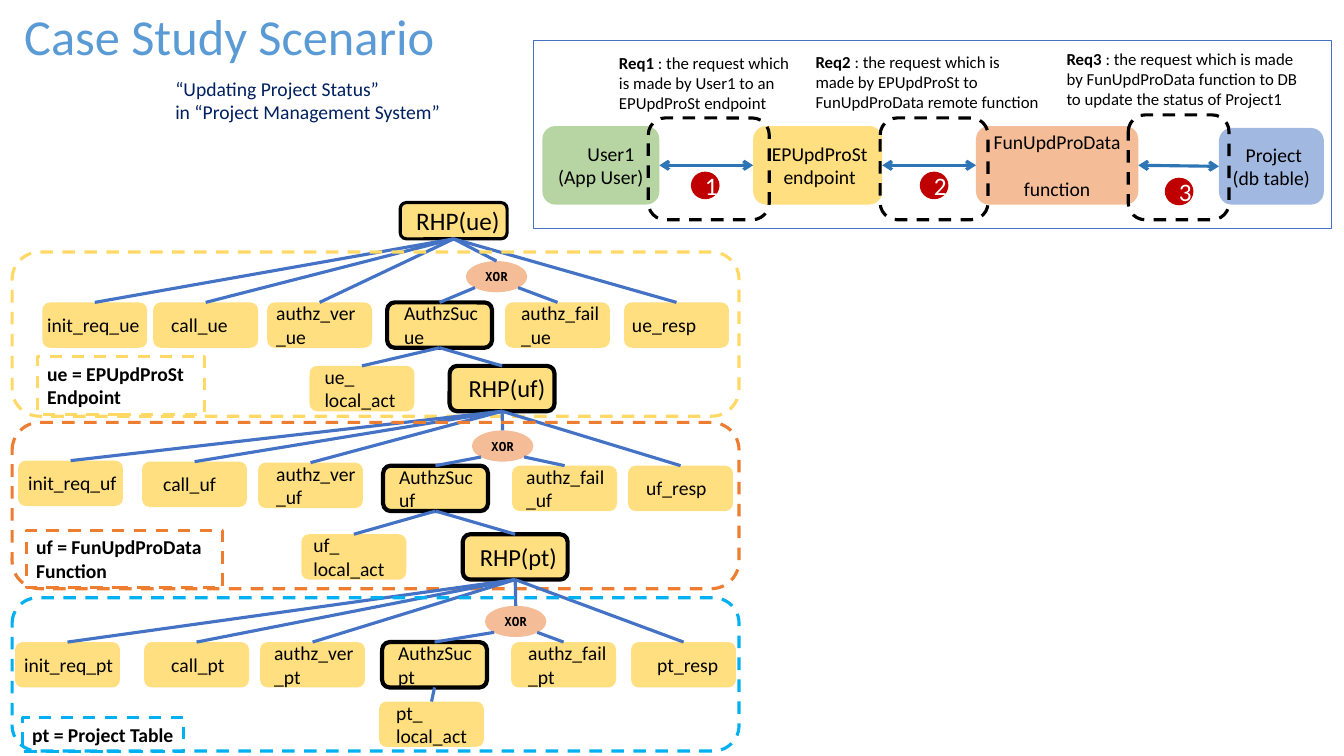
from lxml.etree import SubElement
from pptx import Presentation
from pptx.dml.color import RGBColor
from pptx.enum.dml import MSO_LINE_DASH_STYLE as Dash
from pptx.enum.shapes import MSO_CONNECTOR as Connector, MSO_SHAPE as Shape
from pptx.enum.text import MSO_ANCHOR as Anchor, MSO_AUTO_SIZE as AutoSize, PP_ALIGN as Align
from pptx.oxml.ns import qn
from pptx.util import Inches, Pt

COLORS = {
    "black": "000000", "white": "FFFFFF", "title": "5B9BD5", "navy": "002060",
    "gold": "FFC000", "orange": "ED7D31", "green": "70AD47", "blue": "4472C4",
    "arrow": "2E75B6", "badge": "C00000", "pale_gold": "FFD966", "cyan": "00B0F0",
}
NODE_WIDTH, NODE_HEIGHT = 1.04, 0.45
XOR_WIDTH, XOR_HEIGHT = 0.61, 0.31
CORNER = 0.15  # share of an ellipse's box outside its diagonal points

# All places are relative to the level's box; labels are (shift, width).
LEVELS = [
    {"key": "ue", "box": (0.12, 2.5, 7.21, 1.63), "color": "pale_gold",
     "lefts": (0.3, 1.4, 2.53, 3.72, 4.89, 6.07), "tops": (0.5,) * 6,
     "labels": ((-0.05, 1.14), (0.08, 0.78), (-0.01, 1.08), (0.07, 0.94), (0.06, 1.04), (-0.02, 1.16)),
     "success": "AuthzSuc ue", "xor": (4.5, 0.09),
     "local": (2.95, 1.13, 0.05, 0.98), "next": ("RHP(uf)", 4.34, 1.13, 0.09, 0.98),
     "legend": ("ue = EPUpdProSt Endpoint", 0.25, 1.04, 1.66, 0.57)},
    {"key": "uf", "box": (0.12, 4.19, 7.21, 1.65), "color": "orange",
     "lefts": (0.06, 1.29, 2.44, 3.68, 4.96, 6.11), "tops": (0.38, 0.39, 0.4, 0.43, 0.43, 0.43),
     "labels": ((0, 1.11), (0.11, 1.01), (0.08, 1.02), (0.06, 0.94), (0.04, 1.04), (0.08, 0.82)),
     "success": "AuthzSucuf", "xor": (4.56, 0.08),
     "local": (2.87, 1.11, 0.02, 1.01), "next": ("RHP(pt)", 4.47, 1.11, 0.07, 0.99),
     "legend": ("uf = FunUpdProData\nFunction", 0.14, 1.07, 1.95, 0.57)},
    {"key": "pt", "box": (0.12, 5.93, 7.21, 1.52), "color": "cyan",
     "lefts": (0.03, 1.31, 2.46, 3.67, 4.95, 6.14), "tops": (0.44,) * 6,
     "labels": ((-0.01, 1.11), (0.17, 1.01), (0.04, 1.02), (0.06, 0.94), (0.07, 1.04), (0.16, 0.88)),
     "success": "AuthzSucpt", "xor": (4.69, 0.08),
     "local": (3.64, 1.03, 0.07, 0.94), "next": None,
     "legend": ("pt = Project Table", 0.1, 1.19, 1.6, 0.34)},
]
# Text, place, fill and indent of the first line.
COMPONENTS = [
    ("User1\n(App User)", 0.09, 0.85, 1.16, 0.78, "green", 0.2),
    ("EPUpdProSt endpoint", 2.18, 0.85, 1.28, 0.78, "gold", 0.04),
    ("FunUpdProData\nfunction", 4.39, 0.85, 1.61, 0.78, "orange", 0),
    ("Project\n(db table)", 6.8, 0.87, 1.04, 0.76, "blue", 0.05),
]
# Each request: text place and width, dashed outline, badge place.
REQUESTS = [
    (" : the request which is made by User1 to an EPUpdProSt endpoint",
     (0.75, 0.07, 1.98), (1.14, 0.77, 1.2, 1.01), (1.57, 1.31)),
    (" : the request which is\vmade by EPUpdProSt to FunUpdProData remote function",
     (2.7, 0.06, 2.51), (3.44, 0.77, 1.07, 1.01), (3.84, 1.31)),
    (" : the request which is made by FunUpdProData function to DB to update the status of Project1",
     (5.19, 0.03, 2.6), (5.9, 0.74, 1, 1.04), (6.27, 1.37)),
]


def rgb(name):
    return RGBColor.from_string(COLORS[name])


def format_text(frame, size, color="black", bold=False, font="Calibri", align=Align.LEFT):
    for paragraph in frame.paragraphs:
        paragraph.alignment = align
        for run in paragraph.runs:
            run.font.name, run.font.size, run.font.bold = font, Pt(size), bold
            run.font.color.rgb = rgb(color)


def add_block(slide, kind, box, fill=None, alpha=50, line=None, weight=2.25, dash=False):
    """Add a preset shape with an optional translucent fill and an optional outline."""
    shape = slide.shapes.add_shape(kind, *map(Inches, box))
    shape.shadow.inherit = False
    if fill:
        shape.fill.solid()
        shape.fill.fore_color.rgb = rgb(fill)
        if alpha < 100:
            color = shape._element.spPr.find(qn("a:solidFill"))[0]
            SubElement(color, qn("a:alpha"), val=str(alpha * 1000))
    else:
        shape.fill.background()
    if line:
        shape.line.color.rgb = rgb(line)
        shape.line.width = Pt(weight)
        if dash:
            shape.line.dash_style = Dash.DASH
    else:
        shape.line.fill.background()
    return shape


def add_label(slide, text, box, size, color="black", wrap=True):
    label = slide.shapes.add_textbox(*map(Inches, box))
    label.text_frame.word_wrap = wrap
    label.text_frame.auto_size = AutoSize.SHAPE_TO_FIT_TEXT
    label.text_frame.text = text
    format_text(label.text_frame, size, color)
    return label


def add_link(slide, start, start_site, end, end_site=None, color="blue"):
    """Join two shapes; without end_site, end is an (x, y) point in inches."""
    point = (0, 0) if end_site is not None else map(Inches, end)
    link = slide.shapes.add_connector(Connector.STRAIGHT, 0, 0, *point)
    link.begin_connect(start, start_site)
    if end_site is not None:
        link.end_connect(end, end_site)
    link.line.color.rgb = rgb(color)
    link.line.width = Pt(2.25)
    SubElement(link._element.spPr, qn("a:effectLst"))
    return link


def add_node(slide, text, box, shift, label_width, label_height, size=14, weight=None):
    """Add a tree node with its label centred on its height; a weight gives it a black outline."""
    left, top, _, height = box
    node = add_block(slide, Shape.ROUNDED_RECTANGLE, box, "gold",
                     line="black" if weight else None, weight=weight)
    label_top = top + (height - label_height) / 2
    add_label(slide, text.replace("\n", "\v"), (left + shift, label_top, label_width, label_height), size)
    return node


def add_level(slide, level, root):
    """Draw one tree level below root and return the root of the next level."""
    left, top, _, _ = level["box"]
    key = level["key"]

    def node_box(x, y):
        return left + x, top + y, NODE_WIDTH, NODE_HEIGHT

    xor_left, xor_top = left + level["xor"][0], top + level["xor"][1]
    xor = add_block(slide, Shape.OVAL, (xor_left, xor_top, XOR_WIDTH, XOR_HEIGHT), "orange")
    xor.text_frame.text = "XOR"
    xor.text_frame.word_wrap = False
    xor.text_frame.vertical_anchor = Anchor.MIDDLE
    format_text(xor.text_frame, 9, bold=True, font="Noto Sans Mono", align=Align.CENTER)
    add_link(slide, xor, 0, root, 2)

    names = (f"init_req_{key}", f"call_{key}", f"authz_ver_{key}",
             level["success"], f"authz_fail_{key}", f"{key}_resp")
    xor_sides = {3: CORNER, 4: 1 - CORNER}
    nodes = []
    for index, (name, x, y, (shift, width)) in enumerate(
            zip(names, level["lefts"], level["tops"], level["labels"])):
        height = 0.57 if name.lower().startswith("authz") else 0.34
        node = add_node(slide, name, node_box(x, y), shift, width, height,
                        weight=3 if index == 3 else None)
        nodes.append(node)
        if index in xor_sides:
            add_link(slide, node, 0, (xor_left + XOR_WIDTH * xor_sides[index],
                                      xor_top + XOR_HEIGHT * (1 - CORNER)))
        else:
            add_link(slide, node, 0, root, 2)

    success = nodes[3]
    x, y, shift, width = level["local"]
    local = add_node(slide, f"{key}_\nlocal_act", node_box(x, y), shift, width, 0.57)
    add_link(slide, local, 0, success, 2)
    next_root = None
    if level["next"]:
        name, x, y, shift, width = level["next"]
        next_root = add_node(slide, name, node_box(x, y), shift, width, 0.4, 17.5, 3)
        add_link(slide, next_root, 0, success, 2)

    add_block(slide, Shape.ROUNDED_RECTANGLE, level["box"], line=level["color"], dash=True)
    text, x, y, width, height = level["legend"]
    legend = add_block(slide, Shape.RECTANGLE, (left + x, top + y, width, height),
                       line=level["color"], dash=True)
    legend.text_frame.text = text
    legend.text_frame.vertical_anchor = Anchor.TOP
    format_text(legend.text_frame, 14, bold=True)
    return next_root


def add_request_panel(slide, box):
    left, top, _, _ = box
    components = []
    for text, x, y, width, height, fill, indent in COMPONENTS:
        component = add_block(slide, Shape.ROUNDED_RECTANGLE, (left + x, top + y, width, height), fill)
        component.text_frame.text = text
        component.text_frame.vertical_anchor = Anchor.MIDDLE
        format_text(component.text_frame, 14, align=Align.CENTER)
        component.text_frame.paragraphs[0]._p.get_or_add_pPr().set("marL", str(Inches(indent)))
        components.append(component)
    components[2].text_frame.paragraphs[1].space_before = Pt(17)

    for number, (text, place, outline, badge_place) in enumerate(REQUESTS, 1):
        arrow = add_link(slide, components[number - 1], 3, components[number], 1, "arrow")
        for end in ("a:headEnd", "a:tailEnd"):
            SubElement(arrow.line._get_or_add_ln(), qn(end), type="arrow")
        x, y = badge_place
        badge = add_block(slide, Shape.OVAL, (left + x, top + y, 0.27, 0.26), "badge", 100, "badge", 1)
        badge.text_frame.text = str(number)
        badge.text_frame.vertical_anchor = Anchor.MIDDLE
        format_text(badge.text_frame, 18, "white", align=Align.CENTER)
        x, y, width, height = outline
        add_block(slide, Shape.ROUNDED_RECTANGLE, (left + x, top + y, width, height), line="black", dash=True)
        x, y, width = place
        label = add_label(slide, "", (left + x, top + y, width, 0.71), 12)
        paragraph = label.text_frame.paragraphs[0]
        name = paragraph.add_run()
        name.text = f"Req{number}"
        for index, part in enumerate(text.split("\v")):
            if index:
                paragraph.add_line_break()
            paragraph.add_run().text = part
        format_text(label.text_frame, 12)
        name.font.bold = True
    add_block(slide, Shape.RECTANGLE, box, line="blue", weight=0.75)


def add_heading(slide, left, top):
    title = add_label(slide, "Case Study Scenario", (left, top, 4.31, 0.71), 36, "title", wrap=False)
    title.text_frame.paragraphs[0].alignment = Align.CENTER
    add_label(slide, "“Updating Project Status”\nin “Project Management System”",
              (left + 1.52, top + 0.71, 2.83, 0.57), 14, "navy")


def main():
    presentation = Presentation()
    presentation.slide_width, presentation.slide_height = Inches(13.33), Inches(7.5)
    slide = presentation.slides.add_slide(presentation.slide_layouts[6])
    root = add_node(slide, "RHP(ue)", (3.97, 2.01, 1.06, 0.36), 0.06, 1.04, 0.4, 18, 2.25)
    for level in LEVELS:
        root = add_level(slide, level, root)
    add_heading(slide, 0.12, 0)
    add_request_panel(slide, (5.29, 0.4, 7.92, 1.87))
    presentation.save("out.pptx")


if __name__ == "__main__":
    main()
